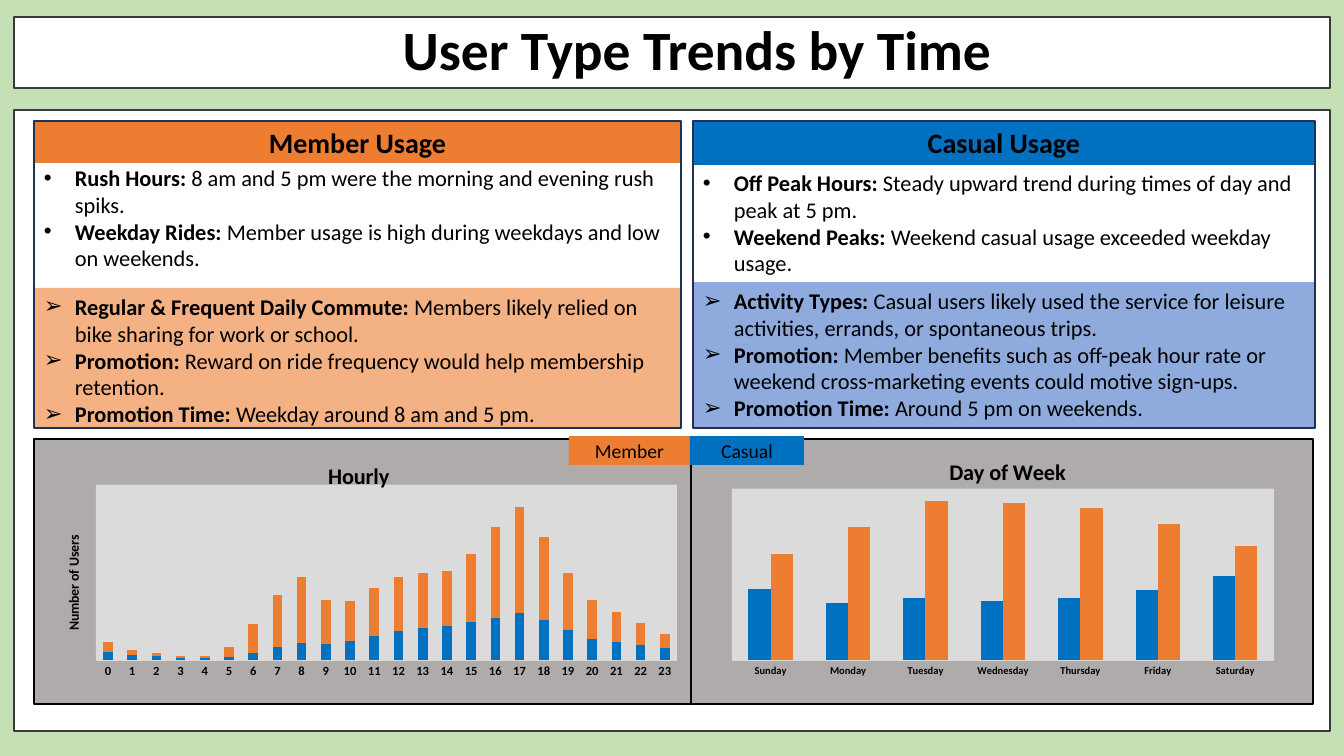
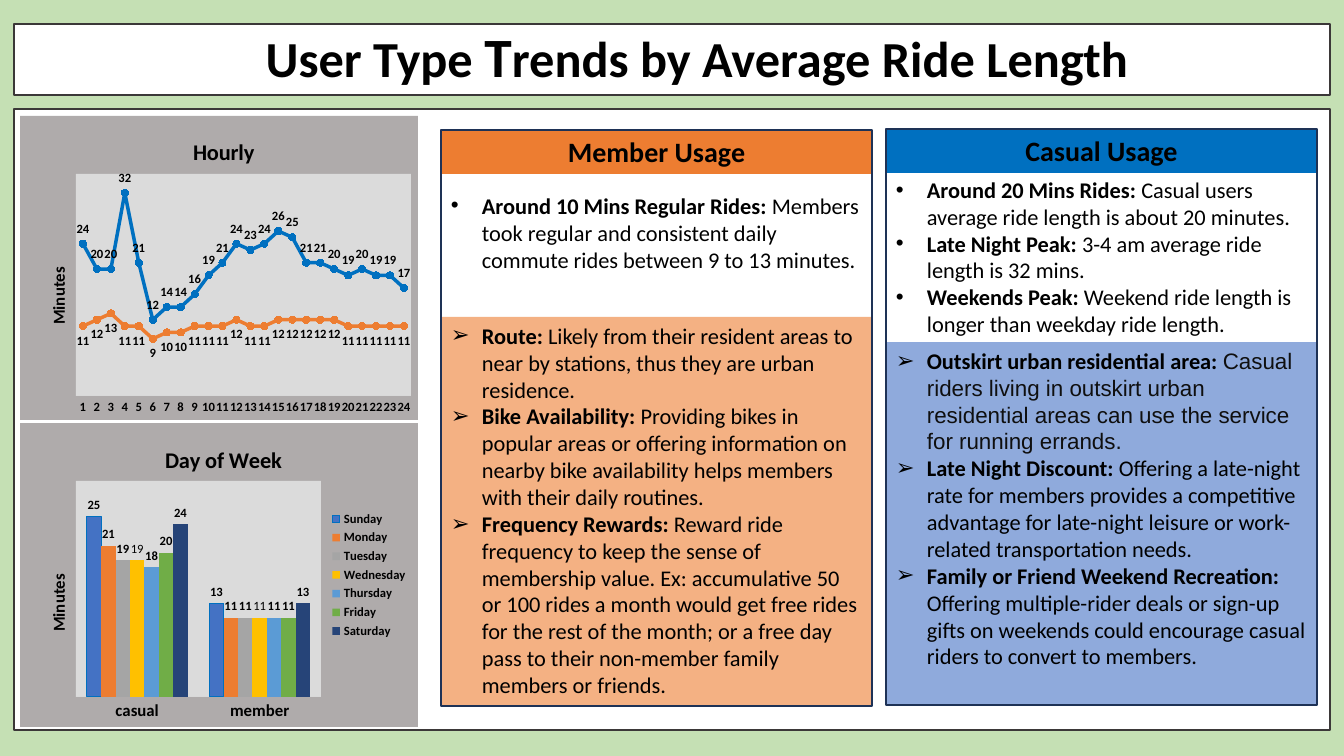
from dataclasses import dataclass

from lxml.etree import SubElement
from pptx import Presentation
from pptx.chart.data import CategoryChartData
from pptx.dml.color import RGBColor
from pptx.enum.chart import XL_CHART_TYPE, XL_LABEL_POSITION, XL_LEGEND_POSITION
from pptx.enum.chart import XL_MARKER_STYLE, XL_TICK_MARK
from pptx.enum.shapes import MSO_SHAPE
from pptx.enum.text import MSO_ANCHOR, PP_ALIGN
from pptx.oxml import parse_xml
from pptx.oxml.ns import nsdecls, qn
from pptx.util import Pt

EMU_PER_PX = 12192000 / 1344


def px(*lengths):
    """Turn pixel lengths into EMU."""
    return [round(length * EMU_PER_PX) for length in lengths]


@dataclass(frozen=True)
class Theme:
    """Colours, fonts and type sizes of the deck."""
    font: str = "Calibri"
    plain_font: str = "Arial"
    ink: str = "000000"
    soft_ink: str = "0F0F0F"
    page: str = "C5E0B4"
    card: str = "FFFFFF"
    card_line: str = "3B3838"
    panel_line: str = "1E3256"
    member: str = "ED7D31"
    member_tint: str = "F4B183"
    casual: str = "0070C0"
    casual_tint: str = "8FAADC"
    chart: str = "AFABAB"
    plot: str = "DBDBDB"
    axis: str = "D9D9D9"
    days: tuple = ("4472C4", "ED7D31", "A5A5A5", "FFC000", "5B9BD5", "70AD47", "264478")
    title_size: float = 39.6
    small_title_size: float = 36
    heading_size: float = 20
    body_size: float = 16
    tag_size: float = 14
    label_size: float = 9


class Deck:
    """Holds the style and the current slide."""

    def __init__(self, theme):
        self.theme = theme
        self.show = Presentation()
        self.show.slide_width, self.show.slide_height = px(1344, 756)
        self.page = None

    def color(self, value):
        """Return a named theme colour or a hex value as RGB."""
        return RGBColor.from_string(getattr(self.theme, value, value))

    def style(self, font, size, bold=True, color="ink", name=None):
        """Apply type settings to a font."""
        font.name = name or self.theme.font
        font.size = Pt(size)
        font.bold = bold
        font.color.rgb = self.color(color)

    def add_page(self, title_runs, title_top, card_top):
        """Start a slide with its title band and content card."""
        self.page = self.show.slides.add_slide(self.show.slide_layouts[6])
        self.page.background.fill.solid()
        self.page.background.fill.fore_color.rgb = self.color("page")
        band = self.box((14, title_top, 1316, 71), "card", "card_line", 1.5)
        frame = band.text_frame
        frame.margin_left, = px(60)
        frame.vertical_anchor = MSO_ANCHOR.MIDDLE
        para = frame.paragraphs[0]
        para.alignment = PP_ALIGN.CENTER
        para.line_spacing = 0.9
        for text, size in title_runs:
            span = para.add_run()
            span.text = text
            self.style(span.font, size)
        self.box((14, card_top, 1316, 621), "card", "card_line", 1.5)

    def box(self, area, fill=None, line=None, weight=1):
        """Draw a rectangle."""
        box = self.page.shapes.add_shape(MSO_SHAPE.RECTANGLE, *px(*area))
        box.shadow.inherit = False
        if fill:
            box.fill.solid()
            box.fill.fore_color.rgb = self.color(fill)
        else:
            box.fill.background()
        if line:
            box.line.color.rgb = self.color(line)
            box.line.width = Pt(weight)
        else:
            box.line.fill.background()
        return box

    def label(self, area, fill, text, size, bold, anchor):
        """Draw a filled rectangle with one centred line of text."""
        frame = self.box(area, fill).text_frame
        frame.text = text
        frame.word_wrap = True
        frame.vertical_anchor = anchor
        para = frame.paragraphs[0]
        para.alignment = PP_ALIGN.CENTER
        self.style(para.runs[0].font, size, bold)

    def bullets(self, box, mark, items):
        """Fill a box with bulleted lead-ins and their sentences."""
        frame = box.text_frame
        frame.word_wrap = True
        frame.vertical_anchor = MSO_ANCHOR.TOP
        indent, = px(31)
        for index, (lead, sentence, *look) in enumerate(items):
            para = frame.add_paragraph() if index else frame.paragraphs[0]
            para.alignment = PP_ALIGN.LEFT
            properties = para._p.get_or_add_pPr()
            properties.set("marL", str(indent))
            properties.set("indent", str(-indent))
            SubElement(properties, qn("a:buFont")).set("typeface", self.theme.plain_font)
            SubElement(properties, qn("a:buChar")).set("char", mark)
            para.text = f"{lead}: "
            self.style(para.runs[0].font, self.theme.body_size)
            span = para.add_run()
            span.text = sentence
            self.style(span.font, self.theme.body_size, False, *look)

    def panel(self, area, user, header_height, facts_top, ideas_top, facts, ideas):
        """Draw a framed panel with heading, facts and tinted ideas."""
        left, top, width, height = area
        self.label((left, top, width, header_height), user, f"{user.title()} Usage",
                   self.theme.heading_size, True, MSO_ANCHOR.TOP)
        facts_area = (left, facts_top, width, ideas_top - facts_top)
        self.bullets(self.page.shapes.add_textbox(*px(*facts_area)), "•", facts)
        ideas_area = (left, ideas_top, width, top + height - ideas_top)
        self.bullets(self.box(ideas_area, f"{user}_tint"), "➢", ideas)
        self.box(area, line="panel_line")

    def surface(self, fill, line=None):
        """Return chart shape properties with a fill and an optional border."""
        paint = '<a:solidFill><a:srgbClr val="{}"/></a:solidFill>'
        border = paint.format(self.color(line)) if line else "<a:noFill/>"
        return parse_xml(
            f'<c:spPr {nsdecls("c", "a")}>{paint.format(self.color(fill))}'
            f'<a:ln w="{Pt(1.5)}">{border}</a:ln></c:spPr>')

    def place(self, element, position, chart_area, index):
        """Give a chart part a fixed place inside the chart area."""
        left, top, *size = position
        chart_left, chart_top, width, height = chart_area
        values = {"x": (left - chart_left) / width, "y": (top - chart_top) / height}
        if size:
            values.update(w=size[0] / width, h=size[1] / height)
        layout = element.find(qn("c:layout"))
        if layout is None:
            layout = parse_xml(f'<c:layout {nsdecls("c")}/>')
            element.insert(index, layout)
        manual = SubElement(layout, qn("c:manualLayout"))
        if size:
            SubElement(manual, qn("c:layoutTarget")).set("val", "inner")
        for key in ("x", "y"):
            SubElement(manual, qn(f"c:{key}Mode")).set("val", "edge")
        for key, value in values.items():
            SubElement(manual, qn(f"c:{key}")).set("val", f"{value:.4f}")

    def chart_title(self, holder, text, size, position, chart_area):
        """Write a chart or axis title at a fixed place."""
        holder.text_frame.text = text
        self.style(holder.text_frame.paragraphs[0].runs[0].font, size)
        self.place(holder._element, position, chart_area, 1)

    def chart(self, kind, area, plot_area, title, title_at, names, series, colors,
              maximum, axis_size, border=None):
        """Draw a chart with a hidden value axis."""
        data = CategoryChartData(number_format="#,##0")
        data.categories = names
        for name, values in series.items():
            data.add_series(name, values)
        chart = self.page.shapes.add_chart(kind, *px(*area), data).chart
        self.style(chart.font, 10, False)
        chart.has_legend = False
        chart.has_title = True
        self.chart_title(chart.chart_title, title, self.theme.body_size, title_at, area)
        core = chart._chartSpace.find(qn("c:chart"))
        core.addnext(self.surface("chart", border))
        plot_element = core.find(qn("c:plotArea"))
        self.place(plot_element, plot_area, area, 0)
        plot_element.append(self.surface("plot"))
        scale = chart.value_axis
        scale.visible = False
        scale.has_major_gridlines = False
        scale.minimum_scale, scale.maximum_scale = 0, maximum
        axis = chart.category_axis
        axis.major_tick_mark = XL_TICK_MARK.NONE
        axis.format.line.color.rgb = self.color("axis")
        axis.format.line.width = Pt(0.75)
        self.style(axis.tick_labels.font, axis_size)
        is_line = kind == XL_CHART_TYPE.LINE_MARKERS
        plot = chart.plots[0]
        plot.vary_by_categories = False
        if not is_line:
            plot.gap_width = 150
            plot.overlap = 100 if kind == XL_CHART_TYPE.COLUMN_STACKED else 0
        for item, color in zip(plot.series, colors):
            fills = [item.format.fill]
            if is_line:
                item.smooth = False
                item.format.line.color.rgb = self.color(color)
                item.format.line.width = Pt(2.5)
                item.marker.style = XL_MARKER_STYLE.CIRCLE
                item.marker.size = 5
                item.marker.format.line.color.rgb = self.color(color)
                fills = [item.marker.format.fill]
            for fill in fills:
                fill.solid()
                fill.fore_color.rgb = self.color(color)
        return chart

    def axis_title(self, chart, text, size, position, area):
        """Write an upright title beside the value axis."""
        title = chart.value_axis.axis_title
        self.chart_title(title, text, size, position, area)
        body = title.text_frame._txBody.find(qn("a:bodyPr"))
        body.set("rot", "-5400000")
        body.set("vert", "horz")

    def value_labels(self, series, position, bold=True):
        """Show the values of a series."""
        labels = series.data_labels
        labels.show_value = True
        labels.number_format = "#,##0"
        labels.number_format_is_linked = False
        labels.position = position
        self.style(labels.font, self.theme.label_size, bold)


DAYS = ["Sunday", "Monday", "Tuesday", "Wednesday", "Thursday", "Friday", "Saturday"]
USERS = ("casual", "member")


def time_page(deck):
    """Build the slide on usage by time."""
    theme = deck.theme
    deck.add_page([("User Type Trends by Time", theme.title_size)], 17, 110)
    hourly_area = (33, 438, 671, 267)
    hourly = deck.chart(
        XL_CHART_TYPE.COLUMN_STACKED, hourly_area, (95, 484, 583, 177), "Hourly", (324, 456),
        [str(hour) for hour in range(24)],
        {"Casual": [8, 5, 4, 2, 2, 3, 7, 12, 16, 15, 18, 23, 27, 30, 32, 36, 40, 44, 38, 28,
                    20, 17, 14, 11],
         "Member": [9, 5, 3, 2, 2, 9, 27, 49, 62, 42, 38, 45, 51, 52, 52, 64, 85, 100, 78, 54,
                    37, 28, 21, 14]},
        USERS, 165, 9, "ink")
    deck.axis_title(hourly, "Number of Users", 10, (61, 533), hourly_area)
    deck.chart(
        XL_CHART_TYPE.COLUMN_CLUSTERED, (690, 438, 624, 267), (731, 488, 544, 173),
        "Day of Week", (945, 452), DAYS,
        {"Casual": [45, 36, 39, 37, 39, 44, 53], "Member": [67, 84, 100, 99, 96, 86, 72]},
        USERS, 108, 7.5, "ink")
    for left, width, user in ((569, 121, "member"), (690, 114, "casual")):
        deck.label((left, 436, width, 29), user, user.title(), theme.tag_size, False,
                   MSO_ANCHOR.MIDDLE)
    deck.panel((34, 121, 647, 307), "member", 42, 159, 288, [
        ("Rush Hours", "8 am and 5 pm were the morning and evening rush spiks."),
        ("Weekday Rides", "Member usage is high during weekdays and low on weekends."),
    ], [
        ("Regular & Frequent Daily Commute",
         "Members likely relied on bike sharing for work or school."),
        ("Promotion", "Reward on ride frequency would help membership retention."),
        ("Promotion Time", "Weekday around 8 am and 5 pm."),
    ])
    deck.panel((693, 121, 622, 307), "casual", 44, 164, 282, [
        ("Off Peak Hours", "Steady upward trend during times of day and peak at 5 pm."),
        ("Weekend Peaks", "Weekend casual usage exceeded weekday usage."),
    ], [
        ("Activity Types", "Casual users likely used the service for leisure activities, "
         "errands, or spontaneous trips."),
        ("Promotion", "Member benefits such as off-peak hour rate or weekend "
         "cross-marketing events could motive sign-ups."),
        ("Promotion Time", "Around 5 pm on weekends."),
    ])


def length_page(deck):
    """Build the slide on average ride length."""
    theme = deck.theme
    small = theme.small_title_size
    deck.add_page([("User Type ", small), ("T", theme.title_size),
                   ("rends by Average Ride Length", small)], 24, 109)
    hourly_area, week_area = (20, 116, 398, 304), (20, 423, 398, 304)
    hourly = deck.chart(
        XL_CHART_TYPE.LINE_MARKERS, hourly_area, (76, 174, 335, 222), "Hourly", (189, 133),
        [str(hour) for hour in range(1, 25)],
        {"Casual": [24, 20, 20, 32, 21, 12, 14, 14, 16, 19, 21, 24, 23, 24, 26, 25, 21, 21,
                    20, 19, 20, 19, 19, 17],
         "Member": [11, 12, 13, 11, 11, 9, 10, 10, 11, 11, 11, 12, 11, 11, 12, 12, 12, 12,
                    12, 11, 11, 11, 11, 11]},
        USERS, 35, 9)
    for series, position in zip(hourly.series, (XL_LABEL_POSITION.ABOVE, XL_LABEL_POSITION.BELOW)):
        deck.value_labels(series, position)
    lengths = [(25, 13), (21, 11), (19, 11), (19, 11), (18, 11), (20, 11), (24, 13)]
    week = deck.chart(
        XL_CHART_TYPE.COLUMN_CLUSTERED, week_area, (76, 481, 245, 216), "Day of Week",
        (161, 441), USERS, dict(zip(DAYS, lengths)), theme.days, 30, 12)
    for series in week.series:
        deck.value_labels(series, XL_LABEL_POSITION.OUTSIDE_END, series.name != "Wednesday")
    sunday_line = week.series[0].format.line
    sunday_line.color.rgb = deck.color("casual")
    sunday_line.width = Pt(0.75)
    week.has_legend = True
    week.legend.position = XL_LEGEND_POSITION.RIGHT
    week.legend.include_in_layout = False
    deck.style(week.legend.font, theme.label_size)
    deck.axis_title(hourly, "Minutes", 12, (44, 264), hourly_area)
    deck.axis_title(week, "Minutes", 12, (44, 571), week_area)
    deck.panel((441, 130, 431, 576), "member", 44, 187, 317, [
        ("Around 10 Mins Regular Rides", "Members took regular and consistent daily commute "
         "rides between 9 to 13 minutes."),
    ], [
        ("Route", "Likely from their resident areas to near by stations, thus they are "
         "urban residence."),
        ("Bike Availability", "Providing bikes in popular areas or offering information on "
         "nearby bike availability helps members with their daily routines."),
        ("Frequency Rewards", "Reward ride frequency to keep the sense of membership value. "
         "Ex: accumulative 50 or 100 rides a month would get free rides for the rest of the "
         "month; or a free day pass to their non-member family members or friends."),
    ])
    deck.panel((886, 129, 431, 576), "casual", 44, 171, 342, [
        ("Around 20 Mins Rides", "Casual users average ride length is about 20 minutes."),
        ("Late Night Peak", "3-4 am average ride length is 32 mins."),
        ("Weekends Peak", "Weekend ride length is longer than weekday ride length."),
    ], [
        ("Outskirt urban residential area", "Casual riders living in outskirt urban "
         "residential areas can use the service for running errands.",
         "soft_ink", theme.plain_font),
        ("Late Night Discount", "Offering a late-night rate for members provides a competitive "
         "advantage for late-night leisure or work-related transportation needs."),
        ("Family or Friend Weekend Recreation", "Offering multiple-rider deals or sign-up gifts "
         "on weekends could encourage casual riders to convert to members."),
    ])


def main():
    """Build and save the deck."""
    deck = Deck(Theme())
    time_page(deck)
    length_page(deck)
    deck.show.save("out.pptx")


if __name__ == "__main__":
    main()
